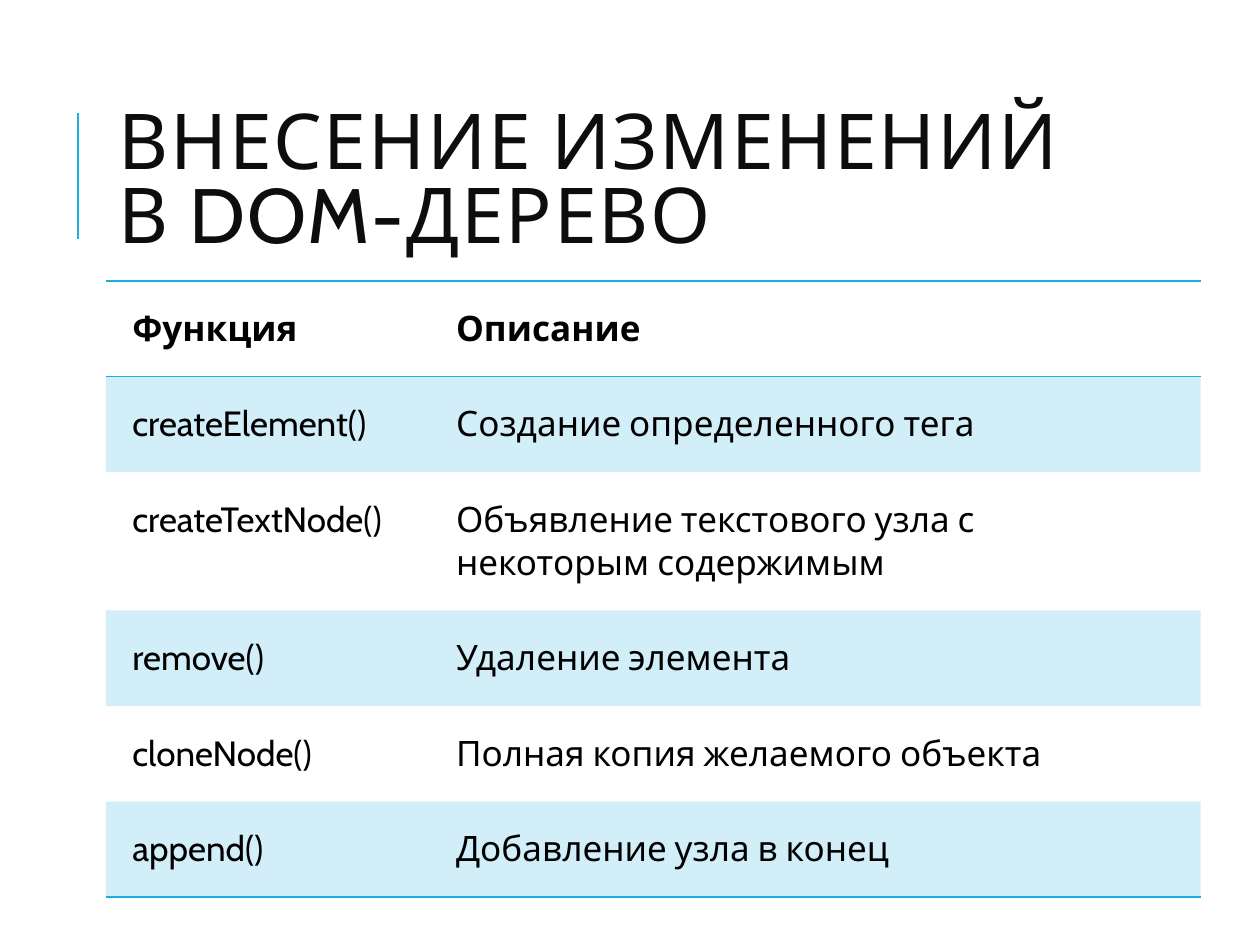
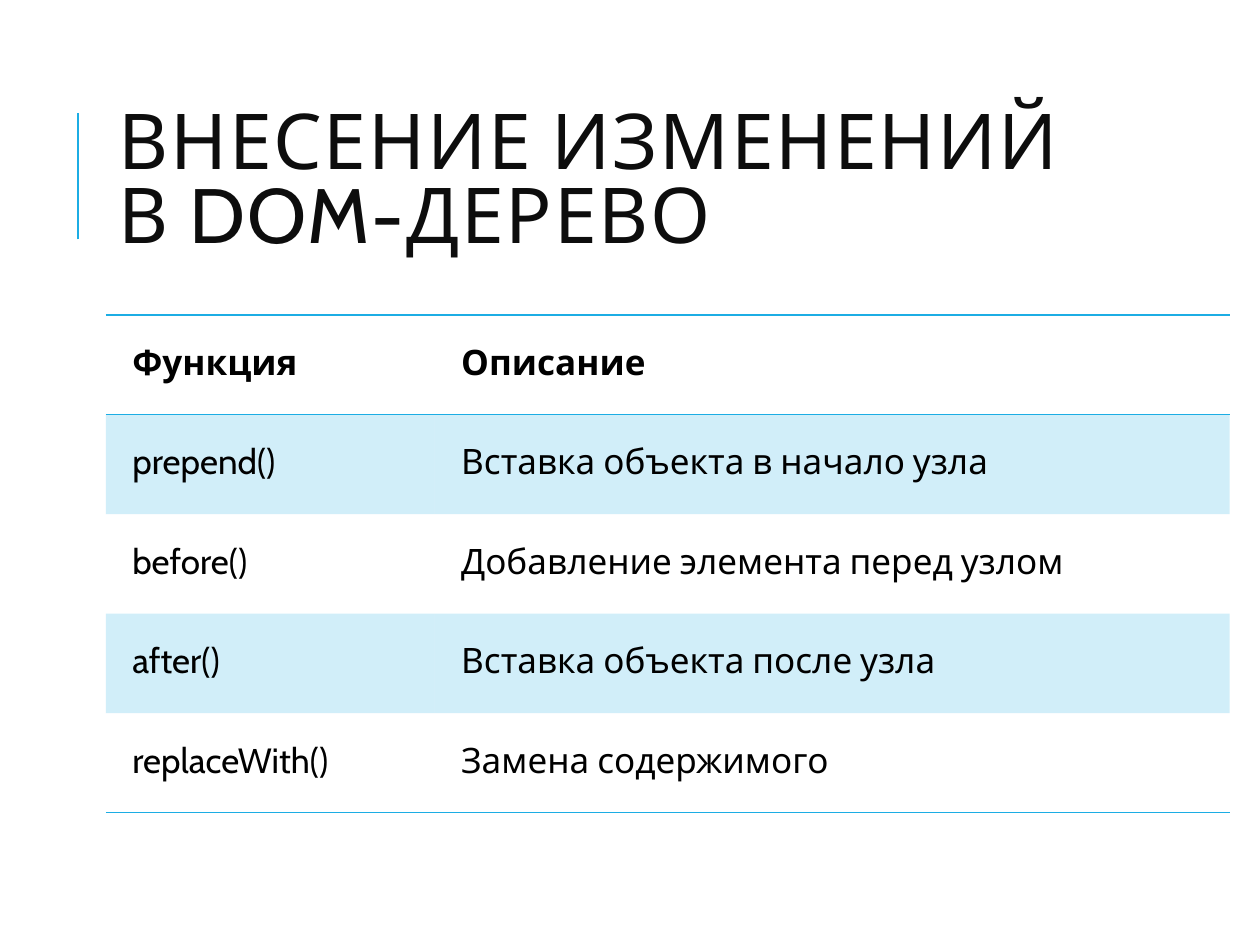
from lxml.etree import SubElement
from pptx import Presentation
from pptx.dml.color import RGBColor
from pptx.enum.shapes import MSO_CONNECTOR
from pptx.enum.text import MSO_ANCHOR, MSO_AUTO_SIZE, PP_ALIGN
from pptx.oxml import parse_xml
from pptx.oxml.ns import nsdecls, qn
from pptx.util import Inches, Pt

# Shared style
FONT = "Cabin"
ACCENT = RGBColor(0x1C, 0xAD, 0xE4)
TITLE_COLOR = RGBColor(0x0D, 0x0D, 0x0D)
TEXT_COLOR = RGBColor(0, 0, 0)
PLAIN_TABLE = "{2D5ABB26-0587-4C30-8999-92F81FD0307C}"
LEFT = 0.84
CELL_MARGIN = Inches(0.21)

TITLE = "ВНЕСЕНИЕ ИЗМЕНЕНИЙ В DOM-ДЕРЕВО"
HEADER = ("Функция", "Описание")

# Content: table top, column widths, row heights, rows
SLIDES = [
    (2.23, (2.57, 6.12), (0.75, 0.75, 1.09, 0.75, 0.75, 0.75), [
        ("createElement()", "Создание определенного тега"),
        ("createTextNode()", "Объявление текстового узла с некоторым содержимым"),
        ("remove()", "Удаление элемента"),
        ("cloneNode()", "Полная копия желаемого объекта"),
        ("append()", "Добавление узла в конец"),
    ]),
    (2.5, (2.61, 6.31), (0.79,) * 5, [
        ("prepend()", "Вставка объекта в начало узла"),
        ("before()", "Добавление элемента перед узлом"),
        ("after()", "Вставка объекта после узла"),
        ("replaceWith()", "Замена содержимого"),
    ]),
]


def add_run(p, text, size, color, bold=False):
    r = p.add_run()
    r.text = text
    r.font.name = FONT
    r.font.size = Pt(size)
    r.font.bold = bold
    r.font.color.rgb = color
    return r


def add_borders(cell, sides):
    tcPr = cell._tc.get_or_add_tcPr()
    for i, side in enumerate(sides):
        tcPr.insert(i, parse_xml(
            f'<a:ln{side} {nsdecls("a")} w="{Pt(1)}"><a:solidFill>'
            f'<a:srgbClr val="{ACCENT}"/></a:solidFill></a:ln{side}>'))


prs = Presentation()
prs.slide_width, prs.slide_height = Inches(10), Inches(7.5)

for top, widths, heights, body in SLIDES:
    s = prs.slides.add_slide(prs.slide_layouts[5])

    # Accent line beside the title
    line = s.shapes.add_connector(
        MSO_CONNECTOR.STRAIGHT, Inches(0.62), Inches(1.9), Inches(0.62), Inches(0.9))
    line.line.color.rgb = ACCENT
    line.line.width = Pt(1.5)
    SubElement(line._element.spPr, qn("a:effectLst"))

    # Title
    title = s.shapes.title
    title.left, title.top = Inches(LEFT), Inches(0.64)
    title.width, title.height = Inches(7.97), Inches(1.64)
    tf = title.text_frame
    tf.word_wrap = True
    tf.auto_size = MSO_AUTO_SIZE.NONE
    tf.vertical_anchor = MSO_ANCHOR.MIDDLE
    p = tf.paragraphs[0]
    p.alignment = PP_ALIGN.LEFT
    p.line_spacing = 0.8
    r = add_run(p, TITLE, 44, TITLE_COLOR)
    r.font._element.set("spc", "100")

    # Table
    rows = [HEADER] + body
    table = s.shapes.add_table(
        len(rows), len(widths), Inches(LEFT), Inches(top),
        Inches(sum(widths)), Inches(sum(heights))).table
    table.first_row = True
    table.horz_banding = False
    table._tbl.tblPr.find(qn("a:tableStyleId")).text = PLAIN_TABLE
    for column, width in zip(table.columns, widths):
        column.width = Inches(width)
    for row, height in zip(table.rows, heights):
        row.height = Inches(height)

    for i, texts in enumerate(rows):
        for j, text in enumerate(texts):
            cell = table.cell(i, j)
            cell.margin_left = cell.margin_right = CELL_MARGIN
            cell.margin_top = cell.margin_bottom = CELL_MARGIN
            add_run(cell.text_frame.paragraphs[0], text, 20, TEXT_COLOR, bold=i == 0)

            # Odd rows carry a translucent band
            if i % 2:
                cell.fill.solid()
                cell.fill.fore_color.rgb = ACCENT
                color = cell._tc.tcPr.find(".//" + qn("a:srgbClr"))
                SubElement(color, qn("a:alpha"), val="20000")
            else:
                cell.fill.background()

            # Rules around the header and under the last row
            if i == 0:
                add_borders(cell, "TB")
            elif i == len(rows) - 1:
                add_borders(cell, "B")

prs.save("out.pptx")
